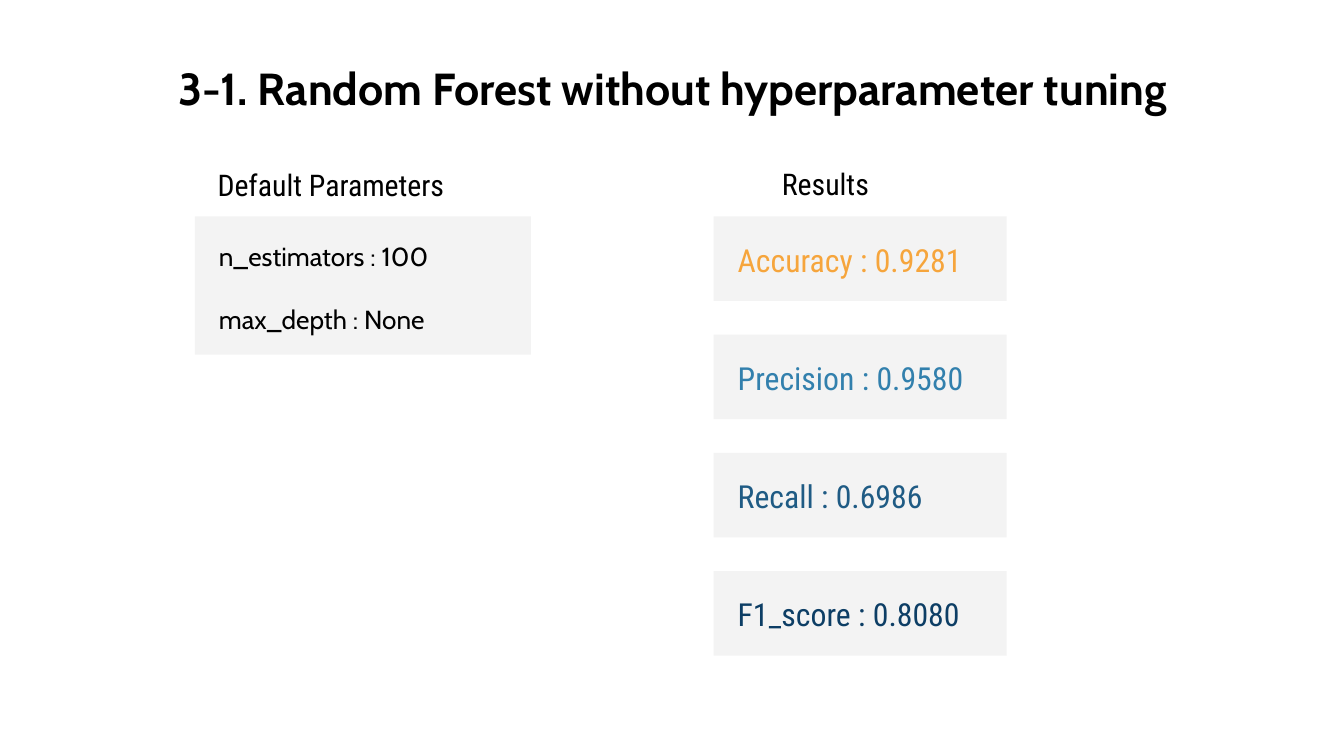
from pptx import Presentation
from pptx import util as u
from pptx.dml.color import RGBColor
from pptx.enum import shapes, text

PX = 4572  # EMU per px, 200 px to the inch
BLACK = RGBColor(0x00, 0x00, 0x00)
PANEL = RGBColor(0xF3, 0xF3, 0xF3)
ORANGE = RGBColor(0xF6, 0xA5, 0x3C)
SKY = RGBColor(0x32, 0x80, 0xAD)
BLUE = RGBColor(0x1F, 0x5B, 0x84)
NAVY = RGBColor(0x0D, 0x3E, 0x65)

TITLE = {"name": "Cabin", "size": u.Pt(24), "bold": True}
HEADING = {"name": "Roboto Condensed", "size": u.Pt(16)}
METRIC = {"name": "Roboto Condensed", "size": u.Pt(17)}
PARAMETER = {"name": "Cabin", "size": u.Pt(14)}


class SlideBuilder:
    def __init__(self, slide):
        self.slide = slide

    def box(self, *lengths):
        return [u.Emu(length * PX) for length in lengths]

    def fill_text(self, shape, lines, style, color=BLACK, inset=20, gap=0,
                  align=text.PP_ALIGN.LEFT):
        frame = shape.text_frame
        frame.text = "\n".join(lines)
        frame_format = {
            "word_wrap": True,
            "auto_size": text.MSO_AUTO_SIZE.NONE,
            "vertical_anchor": text.MSO_ANCHOR.MIDDLE,
            "margin_left": 20 * PX, "margin_right": 20 * PX,
            "margin_top": inset * PX, "margin_bottom": inset * PX,
        }
        for key, value in frame_format.items():
            setattr(frame, key, value)
        for index, paragraph in enumerate(frame.paragraphs):
            paragraph.alignment = align
            paragraph.space_before = u.Pt(gap if index else 0)
            for key, value in style.items():
                setattr(paragraph.font, key, value)
            paragraph.font.color.rgb = color

    def title(self, line, *place):
        shape = self.slide.shapes.title
        names = ("left", "top", "width", "height")
        for name, value in zip(names, self.box(*place)):
            setattr(shape, name, value)
        self.fill_text(shape, [line], TITLE, align=text.PP_ALIGN.CENTER)

    def panel(self, *place):
        shape = self.slide.shapes.add_shape(
            shapes.MSO_SHAPE.RECTANGLE, *self.box(*place))
        shape.shadow.inherit = False
        shape.fill.solid()
        shape.fill.fore_color.rgb = PANEL
        shape.line.fill.background()

    def label(self, lines, place, style, **options):
        shape = self.slide.shapes.add_textbox(*self.box(*place))
        self.fill_text(shape, lines, style, **options)


def main():
    presentation = Presentation()
    presentation.slide_width = u.Emu(2000 * PX)
    presentation.slide_height = u.Emu(1125 * PX)
    slide = presentation.slides.add_slide(presentation.slide_layouts[5])
    builder = SlideBuilder(slide)

    builder.title("3-1. Random Forest without hyperparameter tuning",
                  40, 68, 1922, 126)

    # Default parameters
    builder.label(["Default Parameters"], (304, 238, 490, 74), HEADING, inset=10)
    builder.panel(290, 322, 500, 206)
    builder.label(["n_estimators : 100", "max_depth : None"],
                  (306, 340, 444, 176), PARAMETER, gap=17)

    # Results, one panel per metric
    builder.label(["Results"], (1144, 236, 226, 74), HEADING, inset=10)
    metrics = [
        ("Accuracy : 0.9281", ORANGE),
        ("Precision : 0.9580", SKY),
        ("Recall : 0.6986", BLUE),
        ("F1_score : 0.8080", NAVY),
    ]
    for index, (line, color) in enumerate(metrics):
        top = 322 + index * 176
        builder.panel(1062, top, 436, 126)
        builder.label([line], (1078, top + 17, 404, 94), METRIC, color=color)

    presentation.save("out.pptx")


if __name__ == "__main__":
    main()
